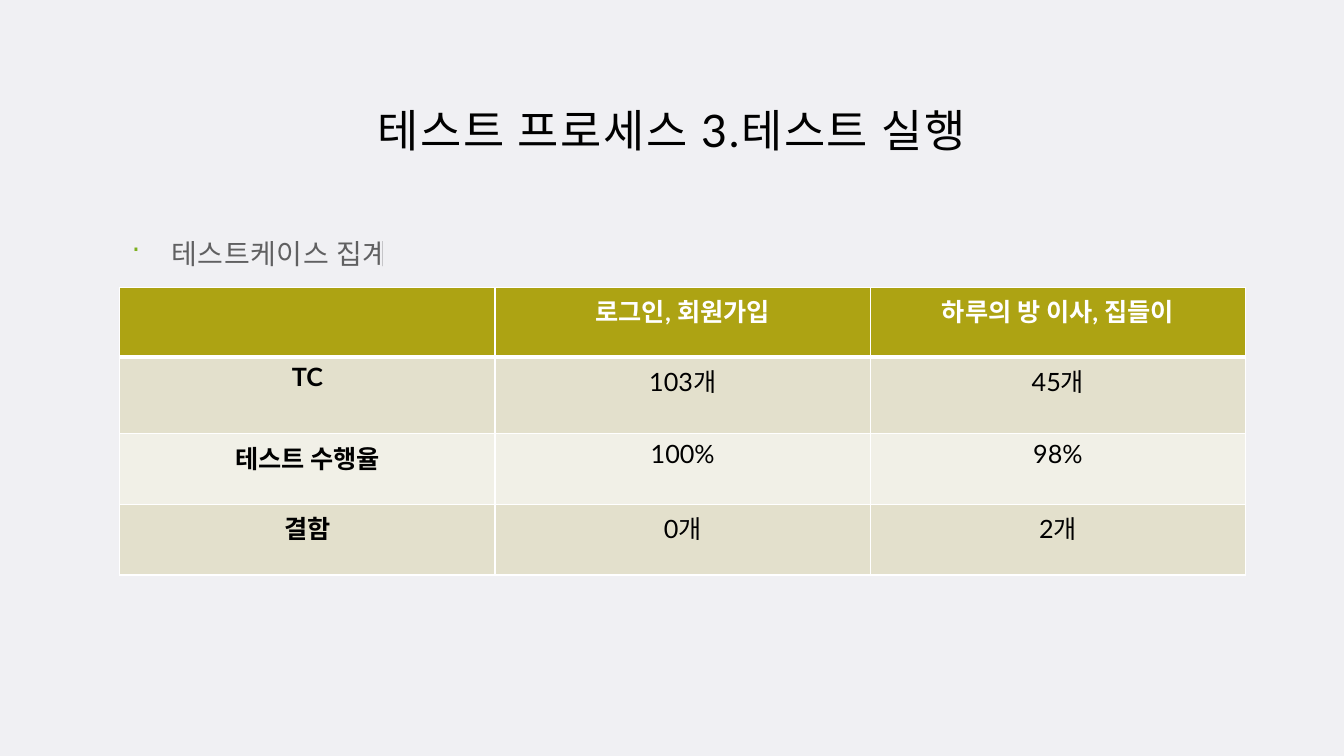
import pptx
import pptx.dml.color
import pptx.enum.text
import pptx.oxml
import pptx.oxml.ns
import pptx.util
from lxml import etree
from pptx.dml.color import RGBColor
from pptx.util import Cm, Pt

# Content
TITLE = "테스트 프로세스 3.테스트 실행"
SUBJECT = "테스트케이스 집계"
RESULTS = [
    ("", "로그인, 회원가입", "하루의 방 이사, 집들이"),
    ("TC", "103개", "45개"),
    ("테스트 수행율", "100%", "98%"),
    ("결함", "0개", "2개"),
]

# Style
FONT = "Lato"
BACKGROUND = RGBColor(0xF0, 0xF0, 0xF3)
BLACK = RGBColor(0, 0, 0)
WHITE = RGBColor(0xFF, 0xFF, 0xFF)
BULLET = RGBColor(0x7D, 0xB0, 0x1F)
HEADER = RGBColor(0xAD, 0xA3, 0x13)
BANDS = (RGBColor(0xF1, 0xF0, 0xE7), RGBColor(0xE3, 0xE0, 0xCC))

# Layout
LEFT, WIDTH = Cm(3.02), Cm(28.37)
ROW_HEIGHTS = (Cm(1.75), Cm(1.94), Cm(1.78), Cm(1.78))


def add_xml(parent, tag, **attributes):
    child = etree.SubElement(parent, pptx.oxml.ns.qn(tag))
    for name, value in attributes.items():
        child.set(name, str(value))
    return child


def style_run(paragraph, size, color, bold=False, spacing=None):
    for run in paragraph.runs:
        run.font.name = FONT
        run.font.size = Pt(size)
        run.font.bold = bold
        run.font.color.rgb = color
        if spacing:
            run.font._element.set("spc", str(spacing))


def add_text(slide, text, left, top, height, anchor):
    frame = slide.shapes.add_textbox(left, top, WIDTH, height).text_frame
    frame.word_wrap = True
    frame.vertical_anchor = anchor
    frame.margin_left = frame.margin_right = frame.margin_top = Cm(0.3)
    frame.margin_bottom = Cm(0.25)
    frame.text = text
    return frame.paragraphs[0]


def set_borders(cell, top, bottom):
    properties = cell._tc.get_or_add_tcPr()
    sides = (("a:lnL", 1), ("a:lnR", 1), ("a:lnT", top), ("a:lnB", bottom))
    for position, (tag, width) in enumerate(sides):
        line = add_xml(properties, tag, w=Pt(width))
        add_xml(add_xml(line, "a:solidFill"), "a:srgbClr", val=WHITE)
        properties.insert(position, line)


def main():
    deck = pptx.Presentation()
    deck.slide_width, deck.slide_height = Cm(33.87), Cm(19.05)
    slide = deck.slides.add_slide(deck.slide_layouts[6])
    slide.background.fill.solid()
    slide.background.fill.fore_color.rgb = BACKGROUND

    # Title
    anchors = pptx.enum.text.MSO_ANCHOR
    title = add_text(slide, TITLE, Cm(2.74), Cm(1.09), Cm(3.1), anchors.BOTTOM)
    title.alignment = pptx.enum.text.PP_ALIGN.CENTER
    style_run(title, 32, BLACK, spacing=120)

    # Bulleted subject
    subject = add_text(slide, SUBJECT, LEFT, Cm(5.23), Cm(11.43), anchors.TOP)
    subject.line_spacing = 1.5
    subject.space_before = Pt(10)
    style_run(subject, 20, BLACK, spacing=40)
    ink = subject.runs[0].font._element.find(".//" + pptx.oxml.ns.qn("a:srgbClr"))
    add_xml(ink, "a:alpha", val=60000)
    indents = subject._p.get_or_add_pPr()
    indents.set("marL", str(Cm(1)))
    indents.set("indent", str(-Cm(1)))
    add_xml(add_xml(indents, "a:buClr"), "a:srgbClr", val=BULLET)
    add_xml(indents, "a:buChar", char="·")

    # Results table
    results = slide.shapes.add_table(
        len(RESULTS), len(RESULTS[0]), LEFT, Cm(7.24), WIDTH, sum(ROW_HEIGHTS)
    ).table
    for row, height in zip(results.rows, ROW_HEIGHTS):
        row.height = height
    for r, values in enumerate(RESULTS):
        for c, value in enumerate(values):
            cell = results.cell(r, c)
            cell.fill.solid()
            cell.fill.fore_color.rgb = BANDS[r % 2] if r else HEADER
            set_borders(cell, 3 if r == 1 else 1, 1 if r else 3)
            cell.text_frame.text = value
            label = cell.text_frame.paragraphs[0]
            label.alignment = pptx.enum.text.PP_ALIGN.CENTER
            style_run(label, 18, BLACK if r else WHITE, bold=r == 0 or c == 0)

    deck.save("out.pptx")


if __name__ == "__main__":
    main()
